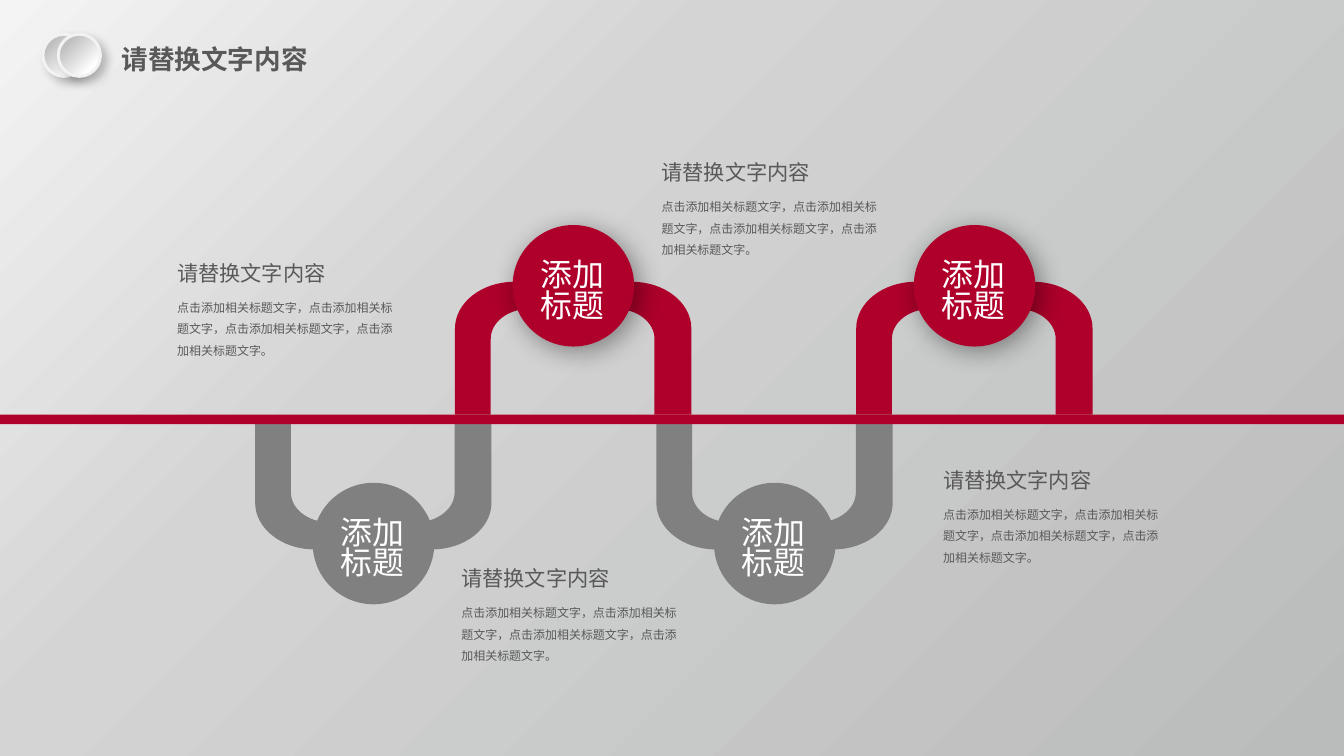
"""Build a winding four-stop timeline slide."""
from dataclasses import dataclass

from pptx import Presentation
from pptx.dml.color import RGBColor
from pptx.enum.lang import MSO_LANGUAGE_ID
from pptx.enum.shapes import MSO_SHAPE
from pptx.enum.text import MSO_AUTO_SIZE, PP_ALIGN
from pptx.oxml import parse_xml
from pptx.oxml.ns import nsdecls, qn
from pptx.util import Cm, Pt

OVAL, RECT = MSO_SHAPE.OVAL, MSO_SHAPE.RECTANGLE
LEFT, CENTER = PP_ALIGN.LEFT, PP_ALIGN.CENTER
FIT = MSO_AUTO_SIZE.SHAPE_TO_FIT_TEXT
CHINESE = MSO_LANGUAGE_ID.SIMPLIFIED_CHINESE

RED, GRAY, WHITE, TEXT, RIM = "AE002B", "808080", "FFFFFF", "595959", "F2F2F2"
HEADING = "请替换文字内容"
BODY = "点击添加相关标题文字，" * 3 + "点击添加相关标题文字。"
LABEL = "添加标题"

SLIDE_W, SLIDE_H = 35.71, 20.09
PITCH = 10.66
ARCH_W, ARCH_H, LEFT_LEG, RIGHT_LEG, BAND = 6.28, 3.53, 0.95, 0.98, 0.72
OUTER_RX, OUTER_RY, INNER_RX, INNER_RY = 1.57, 1.24, 1.02, 0.79
DISC, DISC_DX = 3.23, 1.53
ROUNDNESS = 0.55


@dataclass
class Style:
    size: float
    font: str
    color: str = TEXT
    bold: bool = False
    align: PP_ALIGN = LEFT
    spacing: float | None = None
    wrap: bool = True


@dataclass
class Side:
    color: str
    x: float
    base: float
    direction: int
    disc_top: float
    shadow: bool


@dataclass
class Stop:
    x: float
    side: Side


@dataclass
class Note:
    x: float
    y: float


@dataclass
class Shadow:
    alpha: int
    blur: float
    distance: float


TITLE_STYLE = Style(20, "Calibri", bold=True, wrap=False)
HEADING_STYLE = Style(16, "Calibri", wrap=False)
BODY_STYLE = Style(9, "Noto Sans CJK SC", spacing=1.5)
LABEL_STYLE = Style(24, "Karla", WHITE, align=CENTER, spacing=0.8)

BELOW = Side(GRAY, 6.78, 11.07, 1, 12.83, False)
ABOVE = Side(RED, 12.09, 11.02, -1, 5.98, True)
STOPS = [Stop(side.x + i * PITCH, side) for i in range(2) for side in (BELOW, ABOVE)]
NOTES = [Note(4.46, 6.78), Note(12.01, 14.9), Note(17.33, 4.11), Note(24.81, 12.29)]
DISC_SHADOW = Shadow(40, 20, 5)
BUTTON_SHADOW = Shadow(23, 7, 5.9)
BACKGROUND = [(0, "F4F4F4"), (35, "D4D4D4"), (100, "BABBBB")]
BUTTON = [(20, "BFBFBF"), (80, WHITE), (100, WHITE)]


def rgb(color: str) -> RGBColor:
    return RGBColor.from_string(color)


def paint(sp, color: str) -> None:
    sp.fill.solid()
    sp.fill.fore_color.rgb = rgb(color)
    sp.line.fill.background()
    sp.shadow.inherit = False


def set_gradient(element, stops: list[tuple[int, str]]) -> None:
    marks = "".join(
        f'<a:gs pos="{pos * 1000}"><a:srgbClr val="{color}"/></a:gs>'
        for pos, color in stops
    )
    solid = element.find(".//" + qn("a:solidFill"))
    solid.getparent().replace(solid, parse_xml(
        f'<a:gradFill {nsdecls("a")} rotWithShape="1"><a:gsLst>{marks}</a:gsLst>'
        '<a:lin ang="2700000" scaled="0"/></a:gradFill>'
    ))


def add_shadow(sp, shadow: Shadow) -> None:
    effects = sp._element.spPr.find(qn("a:effectLst"))
    effects.append(parse_xml(
        f'<a:outerShdw {nsdecls("a")} blurRad="{Pt(shadow.blur)}"'
        f' dist="{Pt(shadow.distance)}" dir="2700000" algn="tl" rotWithShape="0">'
        f'<a:srgbClr val="000000"><a:alpha val="{shadow.alpha * 1000}"/></a:srgbClr>'
        '</a:outerShdw>'
    ))


def add_preset(s, kind, x: float, y: float, w: float, h: float, color: str):
    sp = s.shapes.add_shape(kind, Cm(x), Cm(y), Cm(w), Cm(h))
    paint(sp, color)
    return sp


def add_text(s, x: float, y: float, w: float, h: float, text: str, style: Style) -> None:
    tf = s.shapes.add_textbox(Cm(x), Cm(y), Cm(w), Cm(h)).text_frame
    tf.word_wrap = style.wrap
    tf.auto_size = FIT
    p = tf.paragraphs[0]
    p.alignment = style.align
    if style.spacing:
        p.line_spacing = style.spacing
    r = p.add_run()
    r.text = text
    r.font.size = Pt(style.size)
    r.font.name = style.font
    r.font.bold = style.bold
    r.font.language_id = CHINESE
    r.font.color.rgb = rgb(style.color)


def round_corner(start, end, vertical_first: bool) -> None:
    """Turn the line from start to end into a quarter-ellipse curve."""
    (x0, y0), (x1, y1) = [
        (int(pt.get("x")), int(pt.get("y")))
        for pt in (step.findall(qn("a:pt"))[-1] for step in (start, end))
    ]
    cx, cy = (x0, y1) if vertical_first else (x1, y0)
    controls = [
        (round(x + ROUNDNESS * (cx - x)), round(y + ROUNDNESS * (cy - y)))
        for x, y in ((x0, y0), (x1, y1))
    ]
    pts = "".join(f'<a:pt x="{x}" y="{y}"/>' for x, y in controls + [(x1, y1)])
    end.getparent().replace(end, parse_xml(
        f'<a:cubicBezTo {nsdecls("a")}>{pts}</a:cubicBezTo>'
    ))


def add_arch(s, x: float, side: Side) -> None:
    right, depth = ARCH_W - RIGHT_LEG, ARCH_H - BAND
    outline = [
        (0, 0), (LEFT_LEG, 0), (LEFT_LEG, depth - INNER_RY),
        (LEFT_LEG + INNER_RX, depth), (right - INNER_RX, depth),
        (right, depth - INNER_RY), (right, 0), (ARCH_W, 0),
        (ARCH_W, ARCH_H - OUTER_RY), (ARCH_W - OUTER_RX, ARCH_H),
        (OUTER_RX, ARCH_H), (0, ARCH_H - OUTER_RY),
    ]
    points = [(Cm(x + dx), Cm(side.base + side.direction * dy)) for dx, dy in outline]
    builder = s.shapes.build_freeform(*points[0])
    builder.add_line_segments(points[1:], close=True)
    sp = builder.convert_to_shape()
    paint(sp, side.color)
    steps = list(sp._element.find(".//" + qn("a:path")))
    for end, vertical_first in ((3, True), (5, False), (9, True), (11, False)):
        round_corner(steps[end - 1], steps[end], vertical_first)


def add_stop(s, stop: Stop) -> None:
    side = stop.side
    add_arch(s, stop.x, side)
    disc = add_preset(s, OVAL, stop.x + DISC_DX, side.disc_top, DISC, DISC, side.color)
    if side.shadow:
        add_shadow(disc, DISC_SHADOW)


def add_button(s, x: float) -> None:
    sp = add_preset(s, OVAL, x, 0.91, 1.12, 1.12, WHITE)
    set_gradient(sp._element.spPr, BUTTON)
    sp.line.color.rgb = rgb(RIM)
    sp.line.width = Pt(2.25)
    add_shadow(sp, BUTTON_SHADOW)


def main() -> None:
    prs = Presentation()
    prs.slide_width, prs.slide_height = Cm(SLIDE_W), Cm(SLIDE_H)
    s = prs.slides.add_slide(prs.slide_layouts[6])
    s.background.fill.solid()
    s.background.fill.fore_color.rgb = rgb(WHITE)
    set_gradient(s._element, BACKGROUND)

    for stop in STOPS:
        add_stop(s, stop)
    add_preset(s, RECT, 0, 11.02, SLIDE_W, 0.25, RED)
    for stop in STOPS:
        x, y = stop.x + DISC_DX + 0.2, stop.side.disc_top + 0.86
        add_text(s, x, y, 2.77, 1.91, LABEL, LABEL_STYLE)
    for note in NOTES:
        add_text(s, note.x, note.y + 0.88, 6.48, 1.98, BODY, BODY_STYLE)
        add_text(s, note.x, note.y, 4.5, 0.94, HEADING, HEADING_STYLE)

    add_text(s, 2.98, 1.02, 5.51, 1.12, HEADING, TITLE_STYLE)
    for x in (1.14, 1.55):
        add_button(s, x)
    prs.save("out.pptx")


if __name__ == "__main__":
    main()
